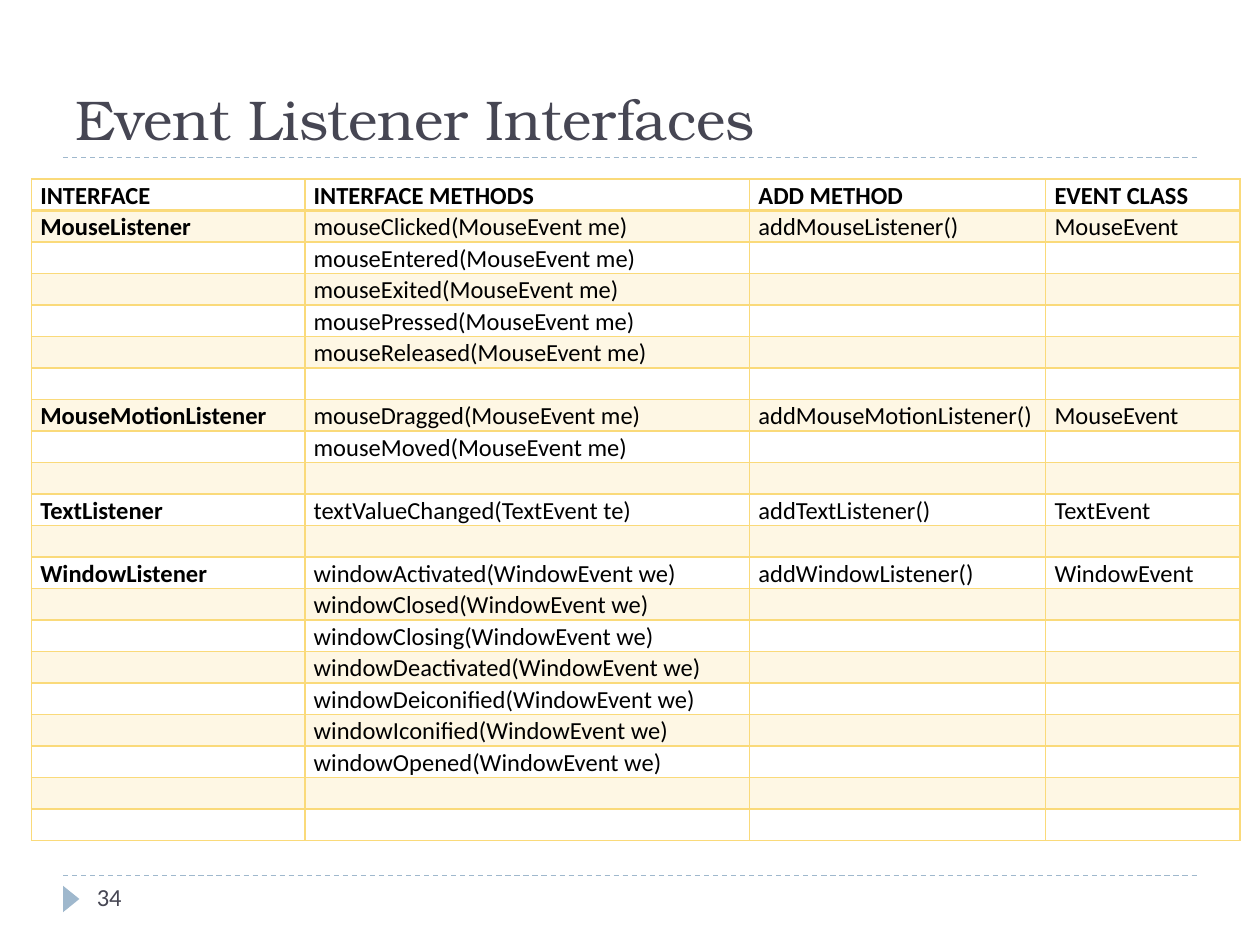
from dataclasses import dataclass

from lxml.etree import SubElement
from pptx import Presentation
from pptx.dml.color import RGBColor
from pptx.enum.dml import MSO_LINE_DASH_STYLE as Dash
from pptx.enum.shapes import MSO_CONNECTOR as Connector, MSO_SHAPE as Shape
from pptx.enum.text import MSO_ANCHOR as Anchor
from pptx.oxml import parse_xml
from pptx.oxml.ns import nsdecls, qn
from pptx.util import Inches, Pt

WIDTH, HEIGHT = 10, 7.5
MARGIN = 0.5
INK, ACCENT, GOLD, BLACK = "464653", "9FB8CD", "FADA7A", "000000"
BODY_FONT, TITLE_FONT = "Calibri", "TeX Gyre Bonum"
BODY_SIZE = 14
COLUMN_WIDTHS = (2.17, 3.53, 2.35, 1.54)
ROW_HEIGHT = 0.25
HEADINGS = ("INTERFACE", "INTERFACE METHODS", "ADD METHOD", "EVENT CLASS")


@dataclass(frozen=True)
class Listener:
    """One listener interface, with the blank rows that follow it."""
    name: str
    event: str
    argument: str
    methods: tuple[str, ...]
    gap: int = 1

    def rows(self) -> list[tuple[str, ...]]:
        """Return the table rows of this interface."""
        calls = [f"{method}({self.event} {self.argument})" for method in self.methods]
        first = (self.name, calls[0], f"add{self.name}()", self.event)
        rest = [("", call, "", "") for call in calls[1:]]
        return [first, *rest, *[("",) * 4] * self.gap]


LISTENERS = (
    Listener("MouseListener", "MouseEvent", "me",
             ("mouseClicked", "mouseEntered", "mouseExited", "mousePressed",
              "mouseReleased")),
    Listener("MouseMotionListener", "MouseEvent", "me", ("mouseDragged", "mouseMoved")),
    Listener("TextListener", "TextEvent", "te", ("textValueChanged",)),
    Listener("WindowListener", "WindowEvent", "we",
             ("windowActivated", "windowClosed", "windowClosing", "windowDeactivated",
              "windowDeiconified", "windowIconified", "windowOpened"), gap=2),
)


def colour(value: str) -> RGBColor:
    """Turn a hex string into a colour."""
    return RGBColor.from_string(value)


def style(paragraph, font: str, size: float, ink: str, bold: bool = False) -> None:
    """Set the font of a whole paragraph."""
    paragraph.font.name = font
    paragraph.font.size = Pt(size)
    paragraph.font.bold = bold
    paragraph.font.color.rgb = colour(ink)


def add_text(slide, text: str, box: tuple[float, ...], font: str, size: float,
             anchor: Anchor) -> None:
    """Add a wrapped text box."""
    frame = slide.shapes.add_textbox(*map(Inches, box)).text_frame
    frame.word_wrap = True
    frame.vertical_anchor = anchor
    frame.text = text
    style(frame.paragraphs[0], font, size, INK)


def add_rule(slide, top: float) -> None:
    """Add a dashed line between the side margins."""
    rule = slide.shapes.add_connector(Connector.STRAIGHT, Inches(MARGIN), Inches(top),
                                      Inches(WIDTH - MARGIN), Inches(top))
    rule.line.color.rgb = colour(ACCENT)
    rule.line.width = Pt(0.75)
    rule.line.dash_style = Dash.DASH
    SubElement(rule._element.spPr, qn("a:effectLst"))


def add_marker(slide) -> None:
    """Add the triangle beside the page number."""
    marker = slide.shapes.add_shape(Shape.ISOSCELES_TRIANGLE, Inches(0.46), Inches(7.07),
                                    Inches(0.21), Inches(0.13))
    marker.rotation = 90
    marker.shadow.inherit = False
    marker.fill.solid()
    marker.fill.fore_color.rgb = colour(ACCENT)
    marker.line.fill.background()


def set_borders(cell, top: float, bottom: float) -> None:
    """Draw the four gold borders of a cell, widths in points."""
    properties = cell._tc.get_or_add_tcPr()
    for index, (side, width) in enumerate(
            {"L": 1, "R": 1, "T": top, "B": bottom}.items()):
        properties.insert(index, parse_xml(
            f'<a:ln{side} {nsdecls("a")} w="{Pt(width)}"><a:solidFill>'
            f'<a:srgbClr val="{GOLD}"/></a:solidFill></a:ln{side}>'))


def fill_cell(cell, text: str, row: int, column: int) -> None:
    """Write and format one table cell."""
    cell.margin_left = cell.margin_right = Inches(0.07)
    cell.margin_top = cell.margin_bottom = 0
    paragraph = cell.text_frame.paragraphs[0]
    paragraph.line_spacing = 1.07
    style(paragraph, BODY_FONT, BODY_SIZE, BLACK, bold=row == 0 or column == 0)
    if text:
        paragraph.add_run().text = text
    else:
        SubElement(paragraph._p, qn("a:endParaRPr"), sz=str(BODY_SIZE * 100))
    if row % 2:
        cell.fill.solid()
        cell.fill.fore_color.rgb = colour(GOLD)
        tint = cell._tc.tcPr.find(".//" + qn("a:srgbClr"))
        SubElement(tint, qn("a:alpha"), val="20000")
    else:
        cell.fill.background()
    set_borders(cell, top=2 if row == 1 else 1, bottom=2 if row == 0 else 1)


def add_listener_table(slide) -> None:
    """Add the table of listener interfaces."""
    rows = [HEADINGS, *(row for listener in LISTENERS for row in listener.rows())]
    table = slide.shapes.add_table(
        len(rows), len(COLUMN_WIDTHS), Inches(0.25), Inches(1.42),
        Inches(sum(COLUMN_WIDTHS)), Inches(ROW_HEIGHT * len(rows))).table
    table.first_row = table.horz_banding = False
    for column, width in zip(table.columns, COLUMN_WIDTHS):
        column.width = Inches(width)
    for row, texts in enumerate(rows):
        table.rows[row].height = Inches(ROW_HEIGHT)
        for column, text in enumerate(texts):
            fill_cell(table.cell(row, column), text, row, column)


def main() -> None:
    """Build and save the slide."""
    presentation = Presentation()
    presentation.slide_width, presentation.slide_height = Inches(WIDTH), Inches(HEIGHT)
    slide = presentation.slides.add_slide(presentation.slide_layouts[6])
    for top in (6.95, 1.25):
        add_rule(slide, top)
    add_marker(slide)
    add_text(slide, "Event Listener Interfaces", (MARGIN, 0.17, WIDTH - 2 * MARGIN, 1.08),
             TITLE_FONT, 32, Anchor.BOTTOM)
    add_text(slide, "34", (0.67, 6.95, 2.17, 0.4), BODY_FONT, BODY_SIZE, Anchor.TOP)
    add_listener_table(slide)
    presentation.save("out.pptx")


main()
